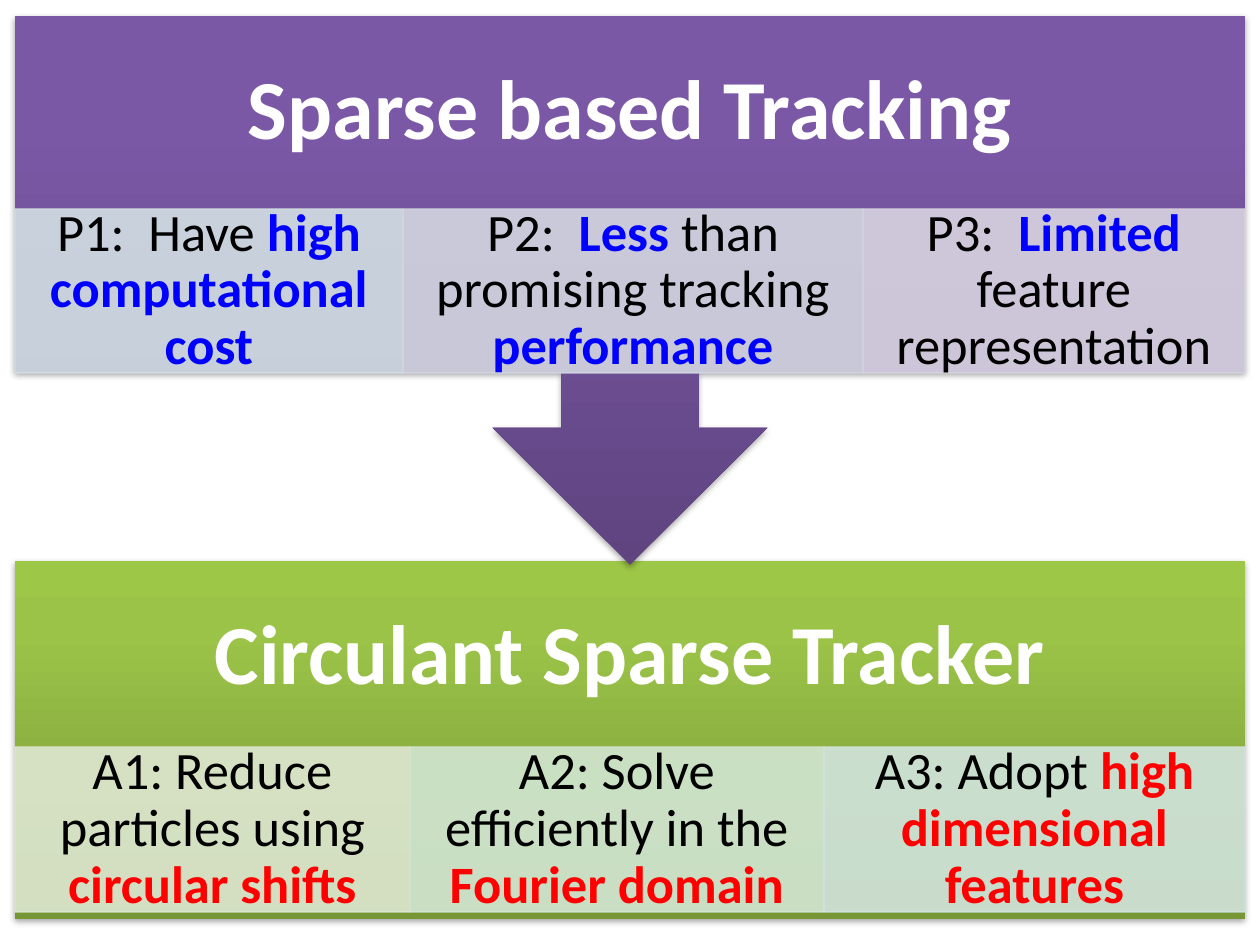
import pptx
import pptx.util
import pptx.dml.color
import pptx.enum.shapes
import pptx.enum.text
import pptx.oxml.ns
import lxml.etree

RGB = pptx.dml.color.RGBColor
SHAPE = pptx.enum.shapes.MSO_SHAPE
qn = pptx.oxml.ns.qn
PX = 914400 // 126

WHITE = RGB(255, 255, 255)
BLACK = RGB(0, 0, 0)
BLUE = RGB(0, 0, 255)
RED = RGB(255, 0, 0)
LEFT, WIDE = 15, 1230

BANDS = [
    {
        "title": "Circulant Sparse Tracker", "kind": SHAPE.RECTANGLE, "turn": 0,
        "top": 561, "high": 358, "row": 747, "tall": 165,
        "grad": [(0, RGB(0x77, 0x97, 0x37)), (80, RGB(0x9B, 0xC3, 0x48)),
                 (100, RGB(0x9D, 0xC7, 0x46))],
        "mark": RED,
        "cells": [
            (395, RGB(0xDE, 0xE7, 0xD1),
             [("A1: Reduce particles using ", False), ("circular shifts", True)]),
            (414, RGB(0xD2, 0xE6, 0xD2),
             [("A2: Solve efficiently in the ", False), ("Fourier domain", True)]),
            (421, RGB(0xD2, 0xE4, 0xDD),
             [("A3: Adopt ", False), ("high dimensional features", True)]),
        ],
    },
    {
        "title": "Sparse based Tracking", "kind": SHAPE.UP_ARROW_CALLOUT, "turn": 180,
        "top": 16, "high": 549, "row": 209, "tall": 164,
        "grad": [(0, RGB(0x5F, 0x44, 0x80)), (80, RGB(0x7B, 0x58, 0xA6)),
                 (100, RGB(0x7C, 0x57, 0xA8))],
        "mark": BLUE,
        "cells": [
            (388, RGB(0xD2, 0xDF, 0xE3),
             [("P1:  Have ", False), ("high computational cost", True)]),
            (460, RGB(0xD3, 0xD6, 0xE1),
             [("P2:  ", False), ("Less", True), (" than promising tracking ", False),
              ("performance", True)]),
            (382, RGB(0xD8, 0xD3, 0xE0),
             [("P3:  ", False), ("Limited ", True), ("feature representation", False)]),
        ],
    },
]


def add(node, tag, **attrs):
    return lxml.etree.SubElement(node, qn(tag), {k: str(v) for k, v in attrs.items()})


def place(*box):
    return [n * PX for n in box]


def shade(shape, stops):
    shape.fill.gradient()
    shape.fill.gradient_angle = 90
    grad = shape.element.spPr.find(qn("a:gradFill"))
    grad.set("rotWithShape", "0")
    items = grad.find(qn("a:gsLst"))
    for old in list(items):
        items.remove(old)
    for spot, tint in stops:
        stop = add(items, "a:gs", pos=spot * 1000)
        add(stop, "a:srgbClr", val=tint)


def drop(shape):
    shape.shadow.inherit = False
    node = shape.element.spPr.find(qn("a:effectLst"))
    cast = add(node, "a:outerShdw", blurRad=40000, dist=23000, dir=5400000, rotWithShape=0)
    tint = add(cast, "a:srgbClr", val=BLACK)
    add(tint, "a:alpha", val=35000)


def write(shape, parts, size, side, edge):
    frame = shape.text_frame
    frame.word_wrap = True
    frame.vertical_anchor = pptx.enum.text.MSO_ANCHOR.MIDDLE
    frame.margin_left = frame.margin_right = side * PX
    frame.margin_top = frame.margin_bottom = edge * PX
    para = frame.paragraphs[0]
    para.alignment = pptx.enum.text.PP_ALIGN.CENTER
    para.line_spacing = 0.9
    for text, bold, tint in parts:
        run = para.add_run()
        run.text = text
        run.font.name = "Calibri"
        run.font.size = pptx.util.Pt(size)
        run.font.bold = bold
        run.font.color.rgb = tint


def draw_cell(shapes, box, tint, parts, mark):
    cell = shapes.add_shape(SHAPE.RECTANGLE, *place(*box))
    cell.shadow.inherit = False
    for fill in (cell.fill, cell.line.fill):
        fill.solid()
        fill.fore_color.rgb = tint
    cell.line.width = pptx.util.Pt(0.75)
    for node in cell.element.spPr.iter(qn("a:srgbClr")):
        add(node, "a:alpha", val=90000)
    write(cell, [(text, key, mark if key else BLACK) for text, key in parts], 30, 29, 5)


def draw_band(shapes, band):
    top, row = band["top"], band["row"]
    back = shapes.add_shape(band["kind"], *place(LEFT, top, WIDE, band["high"]))
    back.rotation = band["turn"]
    back.line.fill.background()
    shade(back, band["grad"])
    drop(back)
    head = shapes.add_textbox(*place(LEFT, top, WIDE, 193))
    write(head, [(band["title"], True, WHITE)], 48, 47, 47)
    left = LEFT
    for wide, tint, parts in band["cells"]:
        draw_cell(shapes, (left, row, wide, band["tall"]), tint, parts, band["mark"])
        left += wide


def main():
    deck = pptx.Presentation()
    deck.slide_width, deck.slide_height = place(1260, 945)
    slide = deck.slides.add_slide(deck.slide_layouts[6])
    for band in BANDS:
        draw_band(slide.shapes, band)
    deck.save("out.pptx")


if __name__ == "__main__":
    main()
